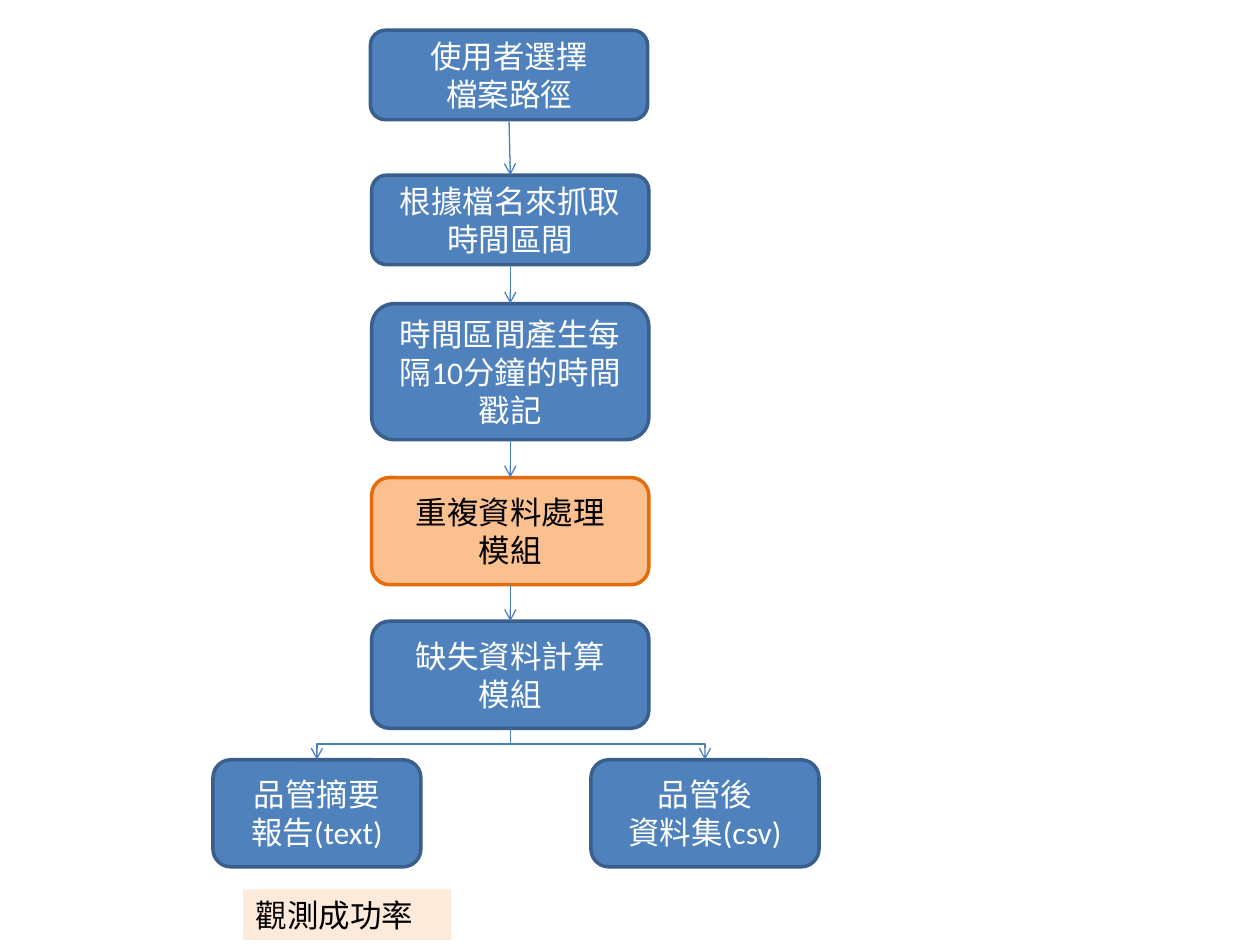
from dataclasses import dataclass
from itertools import pairwise

from lxml import etree
from pptx import Presentation
from pptx.dml.color import RGBColor
from pptx.enum.shapes import MSO_CONNECTOR, MSO_SHAPE
from pptx.enum.text import MSO_ANCHOR, MSO_AUTO_SIZE, PP_ALIGN
from pptx.oxml.ns import qn
from pptx.shapes.autoshape import Shape
from pptx.shapes.connector import Connector
from pptx.slide import Slide
from pptx.text.text import TextFrame
from pptx.util import Inches, Pt

STRAIGHT = MSO_CONNECTOR.STRAIGHT
ELBOW = MSO_CONNECTOR.ELBOW
ROUNDED_RECTANGLE = MSO_SHAPE.ROUNDED_RECTANGLE
MIDDLE = MSO_ANCHOR.MIDDLE
CENTER = PP_ALIGN.CENTER
LEFT = PP_ALIGN.LEFT
GROW = MSO_AUTO_SIZE.SHAPE_TO_FIT_TEXT
TOP_SITE, BOTTOM_SITE = 0, 2
BLANK_LAYOUT = 6


@dataclass(frozen=True)
class BoxStyle:
    fill: RGBColor
    line: RGBColor
    text: RGBColor


@dataclass(frozen=True)
class Theme:
    process: BoxStyle
    highlight: BoxStyle
    arrow: RGBColor
    note_fill: RGBColor
    note_text: RGBColor
    font: str = "Calibri"
    text_size: float = 18
    border_width: float = 2
    arrow_width: float = 0.75


@dataclass(frozen=True)
class Box:
    text: str
    left: float
    top: float
    width: float
    height: float
    style: BoxStyle


BLACK = RGBColor.from_string("000000")
THEME = Theme(
    process=BoxStyle(
        RGBColor.from_string("4F81BD"),
        RGBColor.from_string("3A5F8C"),
        RGBColor.from_string("FFFFFF"),
    ),
    highlight=BoxStyle(
        RGBColor.from_string("FAC090"), RGBColor.from_string("E46C0A"), BLACK
    ),
    arrow=RGBColor.from_string("4B7EBC"),
    note_fill=RGBColor.from_string("FDEADA"),
    note_text=BLACK,
)

STEPS = [
    Box("使用者選擇\n檔案路徑", 2.94, 0.24, 2.2, 0.71, THEME.process),
    Box("根據檔名來抓取時間區間", 2.95, 1.39, 2.2, 0.71, THEME.process),
    Box("時間區間產生每隔10分鐘的時間戳記", 2.95, 2.41, 2.2, 1.08, THEME.process),
    Box("重複資料處理\n模組", 2.95, 3.79, 2.2, 0.85, THEME.highlight),
    Box("缺失資料計算\n模組", 2.95, 4.93, 2.2, 0.85, THEME.process),
]
OUTPUTS = [
    Box("品管摘要\n報告(text)", 1.69, 6.03, 1.65, 0.85, THEME.process),
    Box("品管後\n資料集(csv)", 4.69, 6.03, 1.81, 0.85, THEME.process),
]


def write_text(frame: TextFrame, text: str, color: RGBColor, alignment: PP_ALIGN) -> None:
    frame.word_wrap = True
    frame.text = text
    for paragraph in frame.paragraphs:
        paragraph.alignment = alignment
        paragraph.font.name = THEME.font
        paragraph.font.size = Pt(THEME.text_size)
        paragraph.font.color.rgb = color


def draw_box(slide: Slide, box: Box) -> Shape:
    shape = slide.shapes.add_shape(
        ROUNDED_RECTANGLE,
        Inches(box.left), Inches(box.top), Inches(box.width), Inches(box.height),
    )
    shape.shadow.inherit = False
    shape.fill.solid()
    shape.fill.fore_color.rgb = box.style.fill
    shape.line.color.rgb = box.style.line
    shape.line.width = Pt(THEME.border_width)
    shape.text_frame.vertical_anchor = MIDDLE
    write_text(shape.text_frame, box.text, box.style.text, CENTER)
    return shape


def draw_arrow(slide: Slide, source: Shape, target: Shape, kind: MSO_CONNECTOR) -> Connector:
    connector = slide.shapes.add_connector(kind, 0, 0, 0, 0)
    connector.begin_connect(source, BOTTOM_SITE)
    connector.end_connect(target, TOP_SITE)
    connector.line.color.rgb = THEME.arrow
    connector.line.width = Pt(THEME.arrow_width)
    properties = connector._element.spPr
    etree.SubElement(properties.find(qn("a:ln")), qn("a:tailEnd"), type="arrow")
    etree.SubElement(properties, qn("a:effectLst"))
    return connector


def draw_branch(slide: Slide, source: Shape, target: Shape) -> None:
    connector = draw_arrow(slide, source, target, ELBOW)
    goes_right = connector.end_x > connector.begin_x
    span = abs(connector.end_x - connector.begin_x)
    drop = connector.end_y - connector.begin_y
    middle_x = (connector.begin_x + connector.end_x) // 2
    middle_y = (connector.begin_y + connector.end_y) // 2
    connector.left, connector.top = middle_x - drop // 2, middle_y - span // 2
    connector.width, connector.height = drop, span
    transform = connector._element.spPr.find(qn("a:xfrm"))
    transform.set("rot", str((270 if goes_right else 90) * 60000))
    transform.set("flipH", "1" if goes_right else "0")
    transform.set("flipV", "0")


def draw_note(slide: Slide, text: str) -> None:
    note = slide.shapes.add_textbox(Inches(1.93), Inches(7.06), Inches(1.65), Inches(0.4))
    note.fill.solid()
    note.fill.fore_color.rgb = THEME.note_fill
    write_text(note.text_frame, text, THEME.note_text, LEFT)
    note.text_frame.auto_size = GROW


def main() -> None:
    presentation = Presentation()
    presentation.slide_width = Inches(10)
    presentation.slide_height = Inches(7.5)
    slide = presentation.slides.add_slide(presentation.slide_layouts[BLANK_LAYOUT])
    steps = [draw_box(slide, box) for box in STEPS]
    outputs = [draw_box(slide, box) for box in OUTPUTS]
    for source, target in pairwise(steps):
        draw_arrow(slide, source, target, STRAIGHT)
    for output in outputs:
        draw_branch(slide, steps[-1], output)
    draw_note(slide, "觀測成功率")
    presentation.save("out.pptx")


if __name__ == "__main__":
    main()
